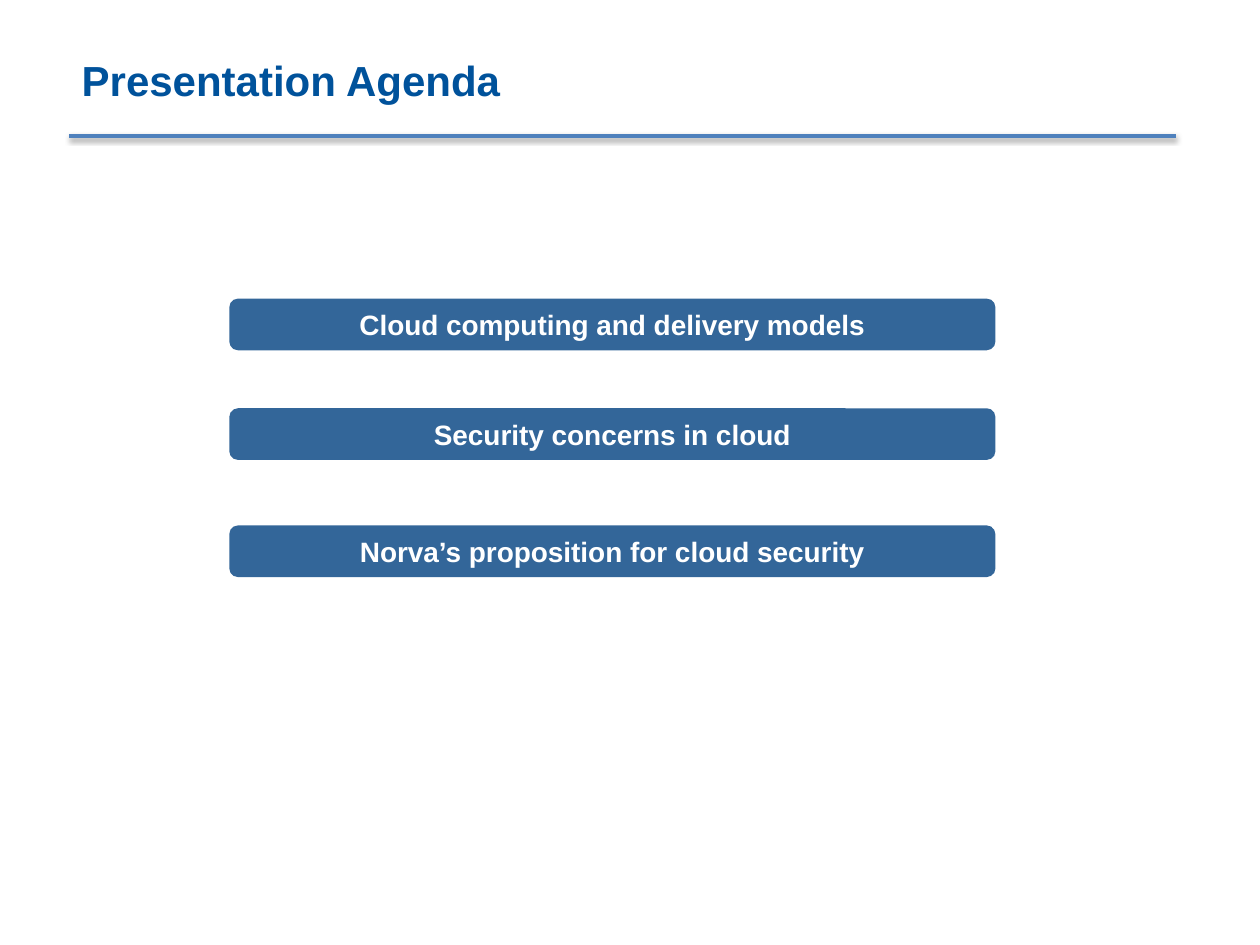
from lxml import etree
from pptx import Presentation, util as u
from pptx.dml.color import RGBColor
from pptx.enum import shapes, text
from pptx.oxml import parse_xml
from pptx.oxml.ns import nsdecls

WIDE, HIGH = 10, 7.5
LEFT = 0.55
BAR_LEFT, BAR_WIDE, BAR_HIGH = 1.82, 6.08, 0.41
TOPICS = [
    (2.37, "Cloud computing and delivery models"),
    (3.24, "Security concerns in cloud"),
    (4.17, "Norva’s proposition for cloud security"),
]


def color(code):
    return RGBColor.from_string(code)


def write(frame, words, size, code, align):
    frame.word_wrap = True
    frame.vertical_anchor = text.MSO_ANCHOR.MIDDLE
    frame.text = words
    para = frame.paragraphs[0]
    para.alignment = align
    font = para.runs[0].font
    font.name, font.size, font.bold = "Arial", u.Pt(size), True
    font.color.rgb = color(code)


def add_title(slide, words):
    box = slide.shapes.add_textbox(*map(u.Inches, (LEFT, 0.17, 9.12, 0.92)))
    write(box.text_frame, words, 24, "00529B", text.PP_ALIGN.LEFT)


def add_bar(slide, top, words):
    bar = slide.shapes.add_shape(
        shapes.MSO_SHAPE.ROUNDED_RECTANGLE,
        *map(u.Inches, (BAR_LEFT, top, BAR_WIDE, BAR_HIGH)))
    bar.shadow.inherit = False
    bar.fill.solid()
    bar.fill.fore_color.rgb = color("336699")
    bar.line.fill.background()
    frame = bar.text_frame
    for side in ("left", "top", "right", "bottom"):
        setattr(frame, f"margin_{side}", u.Inches(0.05))
    write(frame, words, 16, "FFFFFF", text.PP_ALIGN.CENTER)


def add_rule(slide, y):
    """Draw the title rule with a soft shadow below it."""
    rule = slide.shapes.add_connector(
        shapes.MSO_CONNECTOR.STRAIGHT, *map(u.Inches, (LEFT, y, 9.33, y)))
    rule.line.color.rgb = color("4F81BD")
    rule.line.width = u.Pt(2)
    glow = parse_xml(f"<a:effectLst {nsdecls('a')}/>")
    tag = "{http://schemas.openxmlformats.org/drawingml/2006/main}"
    shade = etree.SubElement(
        glow, tag + "outerShdw", blurRad=str(u.Pt(3.1)),
        dist=str(u.Pt(1.6)), dir=str(90 * 60000), rotWithShape="0")
    tint = etree.SubElement(shade, tag + "srgbClr", val="000000")
    etree.SubElement(tint, tag + "alpha", val="38000")
    rule._element.spPr.append(glow)


def main():
    deck = Presentation()
    deck.slide_width, deck.slide_height = u.Inches(WIDE), u.Inches(HIGH)
    slide = deck.slides.add_slide(deck.slide_layouts[6])
    for top, words in TOPICS:
        add_bar(slide, top, words)
    add_title(slide, "Presentation Agenda")
    add_rule(slide, 1.08)
    deck.save("out.pptx")


if __name__ == "__main__":
    main()
